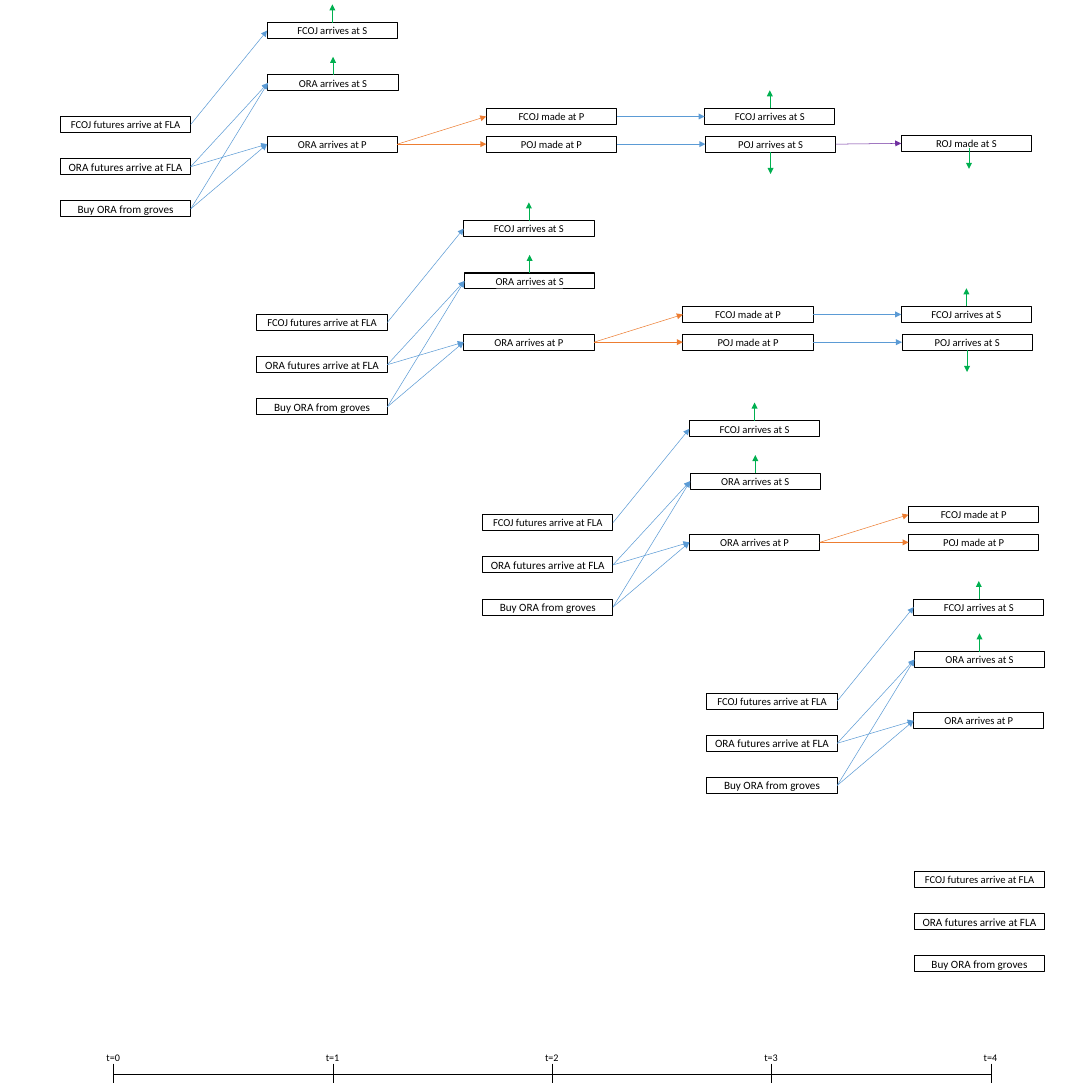
from lxml import etree
from pptx import Presentation, util as u
from pptx.dml.color import RGBColor
from pptx.enum import shapes, text
from pptx.oxml import ns

COLORS = {"ink": "000000", "paper": "FFFFFF", "ship": "5B9BD5",
          "make": "ED7D31", "mix": "7030A0", "sell": "00B050"}
FONT = "Calibri"
BOX_W, BOX_H = 1.79, 0.22
TOP, LEFT, BOTTOM, RIGHT = range(4)

# Each stage lists its boxes: key, wording, offset in the flow, text size
STAGES = [
    [("fcoj_fut", "FCOJ futures arrive at FLA", 0, 1.29, 10.5),
     ("ora_fut", "ORA futures arrive at FLA", 0, 1.87, 11),
     ("groves", "Buy ORA from groves", 0, 2.45, 11)],
    [("fcoj_s", "FCOJ arrives at S", 2.84, 0, 10.5),
     ("ora_s", "ORA arrives at S", 2.85, 0.72, 10.5),
     ("ora_p", "ORA arrives at P", 2.84, 1.56, 10.5)],
    [("fcoj_p", "FCOJ made at P", 5.85, 1.18, 10.5),
     ("poj_p", "POJ made at P", 5.85, 1.56, 10.5)],
    [("fcoj_out", "FCOJ arrives at S", 8.85, 1.18, 10.5),
     ("poj_out", "POJ arrives at S", 8.86, 1.56, 10.5)],
    [("roj", "ROJ made at S", 11.55, 1.55, 10.5)],
]
LINKS = [
    ("fcoj_fut", "fcoj_s", "ship"), ("ora_fut", "ora_s", "ship"),
    ("groves", "ora_s", "ship"), ("groves", "ora_p", "ship"),
    ("ora_fut", "ora_p", "ship"), ("ora_p", "fcoj_p", "make"),
    ("ora_p", "poj_p", "make"), ("fcoj_p", "fcoj_out", "ship"),
    ("poj_p", "poj_out", "ship"), ("poj_out", "roj", "mix"),
]
SALES_UP = ["fcoj_s", "ora_s", "fcoj_out"]
FLOWS = [(0.83, 0.31), (3.53, 3.03), (6.63, 5.78), (9.71, 8.23), (12.56, 10.68)]


def rgb(name):
    return RGBColor.from_string(COLORS[name])


def write(shape, words, size):
    para = shape.text_frame.paragraphs[0]
    para.alignment = text.PP_ALIGN.CENTER
    run = para.add_run()
    run.text = words
    run.font.name, run.font.size = FONT, u.Pt(size)
    run.font.color.rgb = rgb("ink")


def draw_line(slide, start, end, color, arrow=False):
    line = slide.shapes.add_connector(
        shapes.MSO_CONNECTOR.STRAIGHT, *map(u.Inches, (*start, *end)))
    line.line.color.rgb = rgb(color)
    line.line.width = u.Pt(0.5)
    if arrow:
        etree.SubElement(line.line._get_or_add_ln(), ns.qn("a:tailEnd"), type="triangle")
    etree.SubElement(line._element.spPr, ns.qn("a:effectLst"))
    return line


def draw_box(slide, x, y, words, size):
    box = slide.shapes.add_shape(
        shapes.MSO_SHAPE.RECTANGLE, *map(u.Inches, (x, y, BOX_W, BOX_H)))
    box.shadow.inherit = False
    box.fill.solid()
    box.fill.fore_color.rgb = rgb("paper")
    box.line.color.rgb = rgb("ink")
    box.line.width = u.Pt(1)
    frame = box.text_frame
    frame.margin_left = frame.margin_right = frame.margin_top = frame.margin_bottom = 0
    frame.vertical_anchor = text.MSO_ANCHOR.MIDDLE
    write(box, words, size)
    return box


def draw_flow(slide, left, top, depth):
    boxes, spots = {}, {}
    for stage in STAGES[:depth]:
        for key, words, dx, dy, size in stage:
            x, y = spots[key] = left + dx, top + dy
            boxes[key] = draw_box(slide, x, y, words, size)

    # Links between stages
    for src, dst, color in LINKS:
        if dst in boxes:
            (x1, y1), (x2, y2) = spots[src], spots[dst]
            line = draw_line(slide, (x1 + BOX_W, y1 + BOX_H / 2),
                             (x2, y2 + BOX_H / 2), color, True)
            line.begin_connect(boxes[src], RIGHT)
            line.end_connect(boxes[dst], LEFT)

    # Sales leaving the flow
    sales = [(key, TOP, 0, -0.25) for key in SALES_UP]
    sales.append(("poj_out", BOTTOM, BOX_H, BOX_H + 0.3))
    for key, side, near, far in sales:
        if key in boxes:
            x, y = spots[key]
            mid = x + BOX_W / 2
            line = draw_line(slide, (mid, y + near), (mid, y + far), "sell", True)
            line.begin_connect(boxes[key], side)
    if "roj" in boxes:
        x, y = spots["roj"]
        draw_line(slide, (x + 0.93, y + 0.17), (x + 0.93, y + 0.46), "sell", True)


def draw_axis(slide, left, y, width, steps):
    draw_line(slide, (left, y), (left + width, y), "ink")
    for step in range(steps + 1):
        x = left + width * step / steps
        draw_line(slide, (x, y - 0.14), (x, y + 0.13), "ink")
        label = slide.shapes.add_textbox(
            *map(u.Inches, (x - 0.29, y - 0.35, 0.57, 0.27)))
        label.text_frame.word_wrap = True
        write(label, f"t={step}", 10)


def main():
    deck = Presentation()
    deck.slide_width = deck.slide_height = u.Inches(15)
    slide = deck.slides.add_slide(deck.slide_layouts[6])
    draw_axis(slide, 1.56, 14.75, 12.05, 4)
    for start, (left, top) in enumerate(FLOWS):
        draw_flow(slide, left, top, len(STAGES) - start)
    deck.save("out.pptx")


if __name__ == "__main__":
    main()
